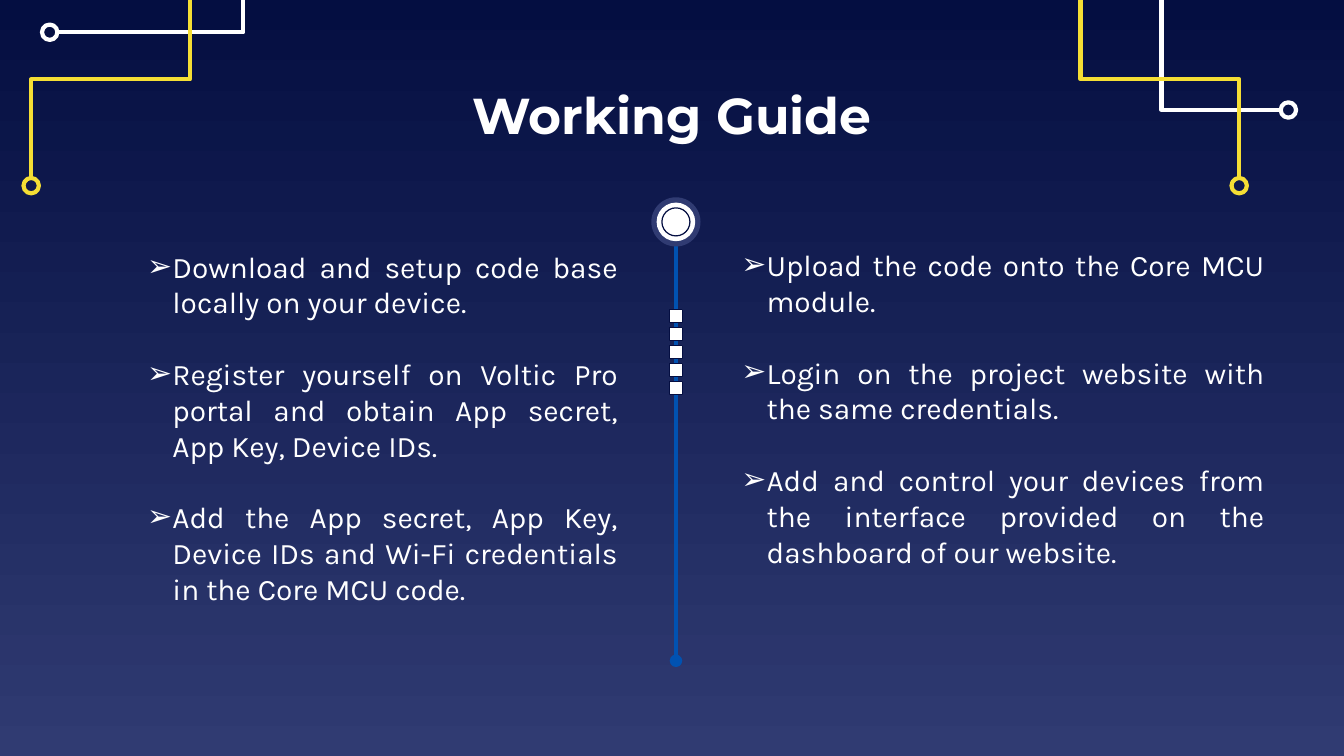
from lxml import etree
from pptx import Presentation
from pptx.dml.color import RGBColor
from pptx.enum.shapes import MSO_CONNECTOR, MSO_SHAPE
from pptx.enum.text import MSO_ANCHOR, PP_ALIGN
from pptx.oxml.ns import qn
from pptx.util import Cm, Pt

OVAL = MSO_SHAPE.OVAL
STRAIGHT = MSO_CONNECTOR.STRAIGHT
TOP = MSO_ANCHOR.TOP
MIDDLE = MSO_ANCHOR.MIDDLE
CENTER = PP_ALIGN.CENTER
JUSTIFY = PP_ALIGN.JUSTIFY

COLORS = {
    "night": "040E41",
    "dusk": "303B72",
    "white": "FFFFFF",
    "yellow": "F5DE34",
    "blue": "0152B1",
}
RING = 0.29
TRACE_WIDTH = 2.25
OUTLINE_WIDTH = 0.66

SETUP_STEPS = [
    "Download and setup code base locally on your device.",
    "Register yourself on Voltic Pro portal and obtain App secret, App Key, Device IDs.",
    "Add the App secret, App Key, Device IDs and Wi-Fi credentials in the Core MCU code.",
]
USAGE_STEPS = [
    "Upload the code onto the Core MCU module.",
    "Login on the project website with the same credentials.",
    "Add and control your devices from the interface provided on the dashboard of our website.",
]


def rgb(name):
    return RGBColor.from_string(COLORS[name])


def style(shape, fill=None, line=None, width=TRACE_WIDTH):
    shape.shadow.inherit = False
    if fill:
        shape.fill.solid()
        shape.fill.fore_color.rgb = rgb(fill)
    else:
        shape.fill.background()
    if line:
        shape.line.color.rgb = rgb(line)
        shape.line.width = Pt(width)
    else:
        shape.line.fill.background()


def add_disc(slide, x, y, size, **look):
    disc = slide.shapes.add_shape(
        OVAL, Cm(x - size / 2), Cm(y - size / 2), Cm(size), Cm(size))
    style(disc, **look)


def add_outline(slide, contours, close, **look):
    contours = [[(Cm(x), Cm(y)) for x, y in contour] for contour in contours]
    builder = slide.shapes.build_freeform(*contours[0][0])
    for contour in contours:
        if contour is not contours[0]:
            builder.move_to(*contour[0])
        builder.add_line_segments(contour[1:], close=close)
    style(builder.convert_to_shape(), **look)


def add_bullet(paragraph, symbol, indent):
    properties = paragraph._p.get_or_add_pPr()
    properties.set("marL", str(Cm(indent)))
    properties.set("indent", str(-Cm(indent)))
    color = etree.SubElement(properties, qn("a:buClr"))
    etree.SubElement(color, qn("a:srgbClr"), val=COLORS["white"])
    etree.SubElement(properties, qn("a:buFont"), typeface="Karla")
    etree.SubElement(properties, qn("a:buChar"), char=symbol)


def add_text(slide, box, paragraphs, font, size, align, anchor=TOP,
             bold=False, gap=0, bullet=None, indent=0.48):
    frame = slide.shapes.add_textbox(*map(Cm, box)).text_frame
    frame.word_wrap = True
    frame.vertical_anchor = anchor
    for index, words in enumerate(paragraphs):
        paragraph = frame.add_paragraph() if index else frame.paragraphs[0]
        paragraph.alignment = align
        if index:
            paragraph.space_before = Pt(gap)
        if bullet:
            add_bullet(paragraph, bullet, indent)
        run = paragraph.add_run()
        run.text = words
        run.font.name = font
        run.font.size = Pt(size)
        run.font.bold = bold
        run.font.color.rgb = rgb("white")


def add_trace(slide, color, ring, points):
    add_outline(slide, [points], False, line=color)
    add_disc(slide, *ring, RING, line=color)


def add_side_trace(slide, box, toward):
    left, top, width, height = box
    ring_x, edge_x = (left, left + width) if toward > 0 else (left + width, left)
    y = top + height
    points = [(ring_x + toward * RING / 2, y), (edge_x, y), (edge_x, top)]
    add_trace(slide, "white", (ring_x, y), points)


def add_hanging_trace(slide, box, toward):
    left, top, width, height = box
    ring_x, edge_x = (left, left + width) if toward > 0 else (left + width, left)
    bend, ring_y = top + 1.5, top + height
    points = [(ring_x, ring_y - RING / 2), (ring_x, bend), (edge_x, bend), (edge_x, top)]
    add_trace(slide, "yellow", (ring_x, ring_y), points)


def square(x, y, size):
    left, right = x - size / 2, x + size / 2
    top, bottom = y - size / 2, y + size / 2
    return [(right, top), (left, top), (left, bottom), (right, bottom)]


def add_spine(slide, box):
    left, top, width, height = box
    x, node_y = left + width / 2, top + width / 2
    spine = slide.shapes.add_connector(
        STRAIGHT, Cm(x), Cm(node_y), Cm(x), Cm(top + height))
    spine.line.color.rgb = rgb("blue")
    spine.line.width = Pt(TRACE_WIDTH)
    etree.SubElement(spine.line._get_or_add_ln(), qn("a:tailEnd"), type="oval")
    etree.SubElement(spine._element.spPr, qn("a:effectLst"))

    add_disc(slide, x, node_y, width, fill="dusk")
    add_disc(slide, x, node_y, 0.73, fill="white")
    outlined = dict(fill="white", line="night", width=OUTLINE_WIDTH)
    add_disc(slide, x, node_y, 0.53, **outlined)
    squares = [square(x, top + 2.24 + step * 0.34, 0.25) for step in range(5)]
    add_outline(slide, squares, True, **outlined)


def add_steps(slide, box, steps):
    add_text(slide, box, steps, "Karla", 16, JUSTIFY, gap=19.2, bullet="➢")


def paint_background(slide):
    fill = slide.background.fill
    fill.gradient()
    fill.gradient_angle = 270
    for stop, name in zip(fill.gradient_stops, ("night", "dusk")):
        stop.color.rgb = rgb(name)


def main():
    deck = Presentation()
    deck.slide_width, deck.slide_height = Cm(25.4), Cm(14.29)
    slide = deck.slides.add_slide(deck.slide_layouts[6])
    paint_background(slide)
    add_side_trace(slide, (0.94, 0, 3.66, 0.61), 1)
    add_hanging_trace(slide, (0.59, 0, 3, 3.51), 1)
    add_side_trace(slide, (21.95, 0, 2.4, 2.08), -1)
    add_hanging_trace(slide, (20.42, 0, 3, 3.51), -1)
    add_text(slide, (4.74, 1.5, 15.93, 1.32), ["Working Guide"],
             "Montserrat", 27, CENTER, anchor=MIDDLE, bold=True)
    add_spine(slide, (12.31, 3.73, 0.93, 8.76))
    add_steps(slide, (2.53, 4.57, 9.4, 8.81), SETUP_STEPS)
    add_steps(slide, (13.76, 4.54, 10.39, 6.4), USAGE_STEPS)
    deck.save("out.pptx")


if __name__ == "__main__":
    main()
